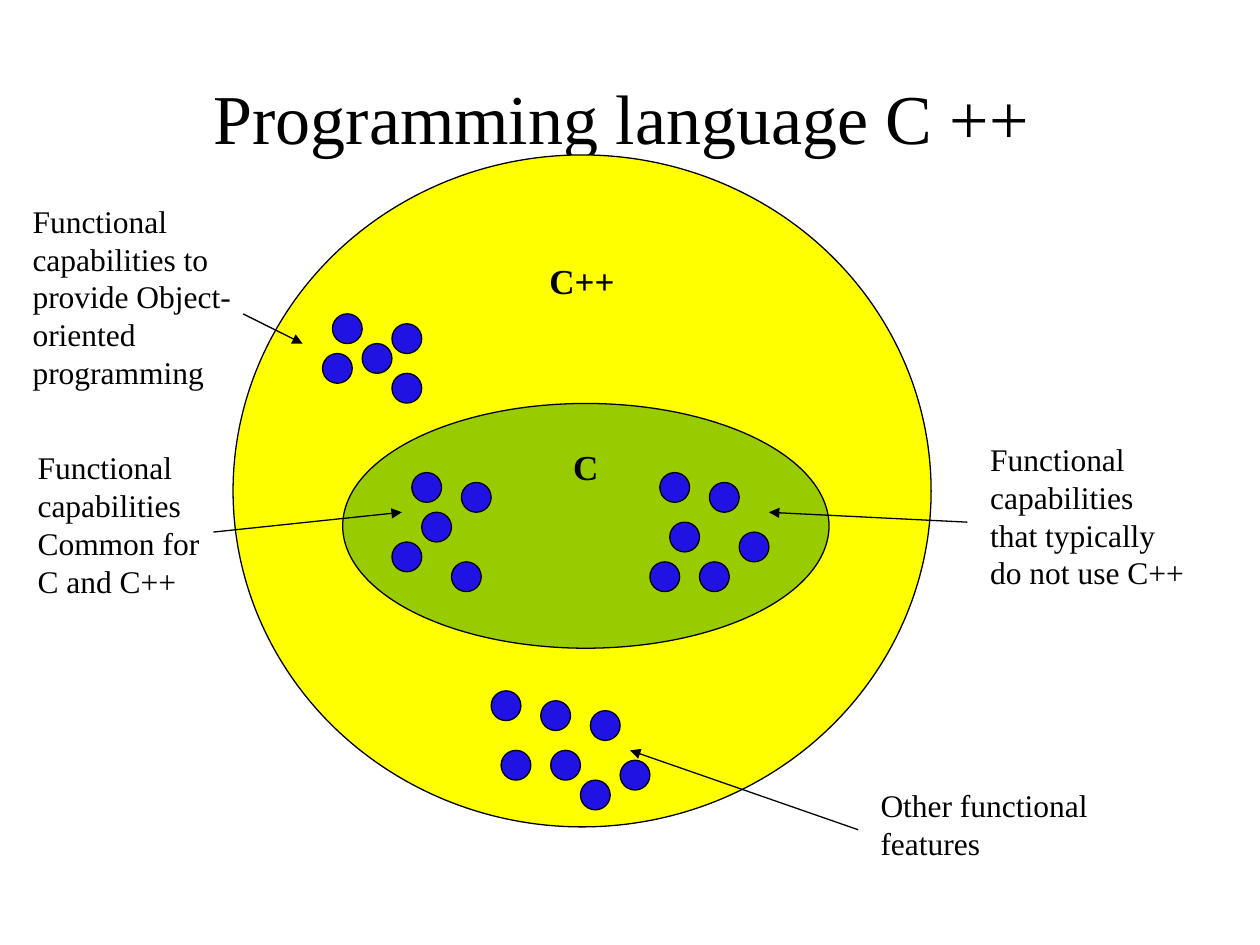
"""Builds a slide that shows C as a subset of C++ with labelled groups of features."""
from lxml import etree
from pptx import Presentation
from pptx import util as u
from pptx.dml.color import RGBColor
from pptx.enum import shapes, text
from pptx.oxml.ns import qn

WIDTH, HEIGHT = 10, 7.5
CELL = 10 / 127
ORIGIN_X, ORIGIN_Y = 0.04, 0.05
DOT_CELLS = 3


def rgb(value):
    return RGBColor.from_string(value)


def write(frame, words, size=18, bold=False, align=text.PP_ALIGN.LEFT,
          anchor=text.MSO_ANCHOR.TOP, wrap=True, right=0.1,
          font="Times New Roman", color="000000"):
    frame.word_wrap = wrap
    frame.auto_size = text.MSO_AUTO_SIZE.NONE
    frame.vertical_anchor = anchor
    frame.margin_right = u.Inches(right)
    paragraph = frame.paragraphs[0]
    paragraph.alignment = align
    run = paragraph.add_run()
    run.text = words
    run.font.name, run.font.size, run.font.bold = font, u.Pt(size), bold
    run.font.color.rgb = rgb(color)


class Diagram:
    ink, dot_fill, line_width = "000000", "2112E4", 0.75

    def __init__(self, slide):
        self.slide = slide

    def share(self, left, top, width, height):
        return [u.Inches(part * whole) for part, whole in
                zip((left, top, width, height), (WIDTH, HEIGHT) * 2)]

    def cell(self, column, row):
        return u.Inches(ORIGIN_X + column * CELL), u.Inches(ORIGIN_Y + row * CELL)

    def outline(self, line):
        line.color.rgb = rgb(self.ink)
        line.width = u.Pt(self.line_width)

    def title(self, words, box):
        heading = self.slide.shapes.title
        heading.left, heading.top, heading.width, heading.height = self.share(*box)
        write(heading.text_frame, words, size=40, align=text.PP_ALIGN.CENTER,
              anchor=text.MSO_ANCHOR.MIDDLE)

    def ellipse(self, box, fill):
        oval = self.slide.shapes.add_shape(shapes.MSO_SHAPE.OVAL, *box)
        oval.shadow.inherit = False
        oval.fill.solid()
        oval.fill.fore_color.rgb = rgb(fill)
        self.outline(oval.line)
        return oval

    def language(self, name, box, fill):
        oval = self.ellipse(self.share(*box), fill)
        write(oval.text_frame, name, size=20, bold=True,
              align=text.PP_ALIGN.CENTER, wrap=False)

    def label(self, words, box, **style):
        caption = self.slide.shapes.add_textbox(*self.share(*box))
        write(caption.text_frame, words, **style)

    def arrow(self, start, end):
        pointer = self.slide.shapes.add_connector(
            shapes.MSO_CONNECTOR.STRAIGHT, *self.cell(*start), *self.cell(*end))
        self.outline(pointer.line)
        etree.SubElement(pointer.line._get_or_add_ln(), qn("a:tailEnd"), type="triangle")
        etree.SubElement(pointer._element.spPr, qn("a:effectLst"))

    def features(self, places):
        side = u.Inches(DOT_CELLS * CELL)
        for place in places:
            self.ellipse((*self.cell(*place), side, side), self.dot_fill)


LANGUAGES = [
    ("C++", (0.185, 0.164, 0.554, 0.711), "FFFF00"),
    ("C", (0.272, 0.427, 0.386, 0.259), "99CC00"),
]
LABELS = [
    ("Functional capabilities that typically do not use C++",
     (0.776, 0.459, 0.175, 0.216), {}),
    ("Functional capabilities Common for C and C++",
     (0.02, 0.468, 0.157, 0.216), {}),
    ("Functional capabilities to provide Object-oriented programming",
     (0.016, 0.207, 0.235, 0.256), {"right": 0.6}),
    ("Other functional features", (0.689, 0.825, 0.233, 0.135), {}),
]
ARROWS = [
    ((24, 31), (30, 34)),
    ((86, 83), (63, 75)),
    ((21, 53), (40, 51)),
    ((97, 52), (77, 51)),
]
FEATURES = {
    "common": [(41, 47), (42, 51), (45, 56), (46, 48), (39, 54)],
    "unused": [(70, 56), (74, 53), (66, 47), (65, 56), (71, 48), (67, 52)],
    "object-oriented": [(33, 31), (36, 34), (39, 37), (32, 35), (39, 32)],
    "other": [(49, 69), (58, 78), (55, 75), (50, 75), (62, 76), (59, 71), (54, 70)],
}


def main():
    deck = Presentation()
    deck.slide_width, deck.slide_height = u.Inches(WIDTH), u.Inches(HEIGHT)
    diagram = Diagram(deck.slides.add_slide(deck.slide_layouts[5]))
    diagram.title("Programming language C ++ ", (0.05, 0.04, 0.9, 0.167))
    for name, box, fill in LANGUAGES:
        diagram.language(name, box, fill)
    for words, box, style in LABELS:
        diagram.label(words, box, **style)
    for start, end in ARROWS:
        diagram.arrow(start, end)
    for places in FEATURES.values():
        diagram.features(places)
    deck.save("out.pptx")


if __name__ == "__main__":
    main()
